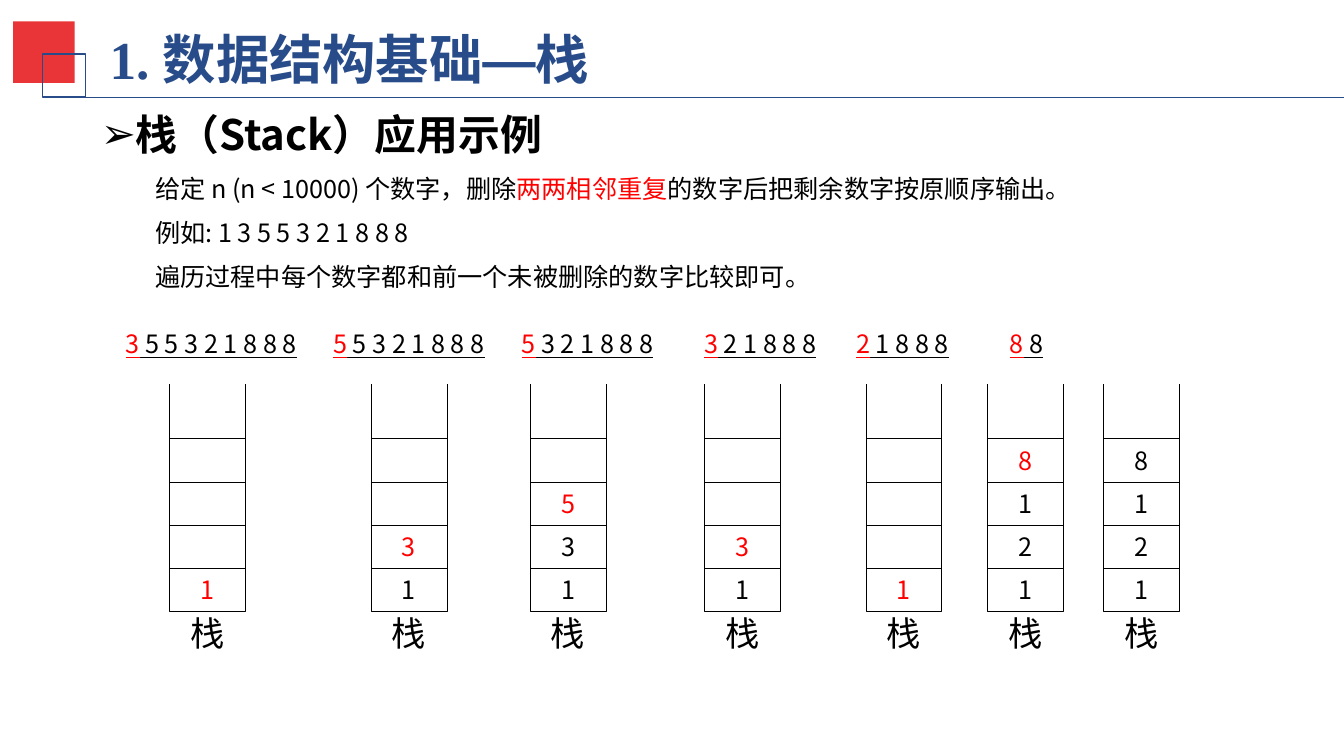
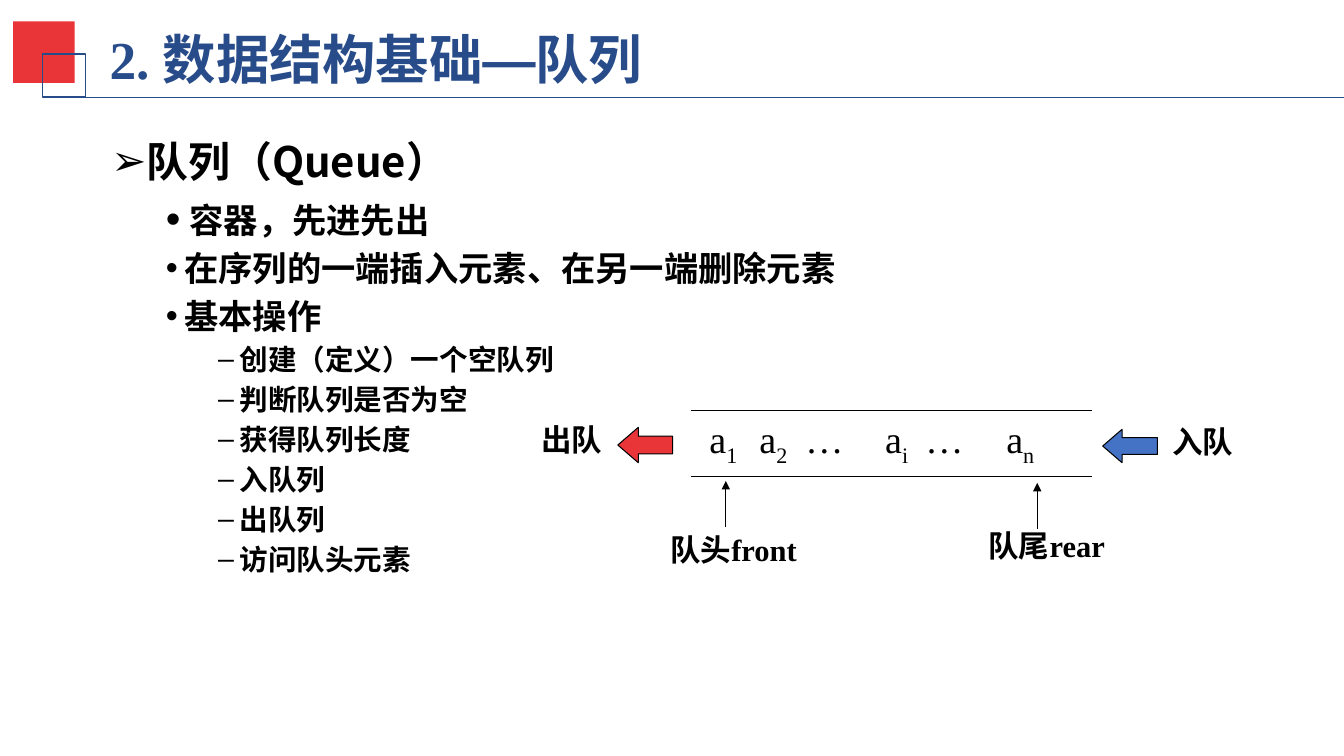
from lxml import etree
from pptx import Presentation
from pptx import util as u
from pptx.dml.color import RGBColor
from pptx.enum import shapes, text
from pptx.oxml import ns

COLOURS = {"navy": "284C8A", "red": "E93538", "blue": "4472C4",
           "black": "000000", "mark": "FF0000"}
SANS, SERIF, TITLE_FONT = "Noto Sans CJK SC", "Times New Roman", "Arial"
TITLE, HEADING, ITEM, LABEL, SUBITEM, BODY = 38.1, 29.9, 24.5, 21.8, 20.4, 18


def colour(name):
    return RGBColor.from_string(COLOURS[name])


def child(parent, tag, **attributes):
    element = etree.SubElement(parent, ns.qn(tag))
    for key, value in attributes.items():
        element.set(key, str(value))
    return element


class Board:
    """Holds the deck, its style and the slide being filled; lengths are in cm."""

    def __init__(self):
        self.deck = Presentation()
        self.deck.slide_width, self.deck.slide_height = u.Cm(33.87), u.Cm(19.05)
        self.slide = None

    def new_slide(self, number, topic):
        self.slide = self.deck.slides.add_slide(self.deck.slide_layouts[5])
        title = self.slide.shapes.title
        title.left, title.top = u.Cm(2.51), u.Cm(0.53)
        title.width, title.height = u.Cm(23.88), u.Cm(1.88)
        frame = title.text_frame
        frame.auto_size = text.MSO_AUTO_SIZE.NONE
        frame.vertical_anchor = text.MSO_ANCHOR.TOP
        para = frame.paragraphs[0]
        para.alignment = text.PP_ALIGN.LEFT
        self.span(para, number + " ", TITLE, "navy", SERIF, bold=True)
        self.span(para, topic, TITLE, "navy", TITLE_FONT, bold=True)
        self.shape(0.33, 0.54, 1.55, 1.55, fill="red")
        self.shape(1.07, 1.36, 1.09, 1.09, line="navy", weight=1)
        self.line(1.32, 2.45, 33.87, 2.45, "navy", 0.5)

    def span(self, para, words, size, tint="black", font=SANS, bold=False,
             underline=None, baseline=None):
        run = para.add_run()
        run.text = words
        run.font.size, run.font.name = u.Pt(size), font
        run.font.bold, run.font.underline = bold, underline
        run.font.color.rgb = colour(tint)
        properties = run.font._element
        child(properties, "a:ea", typeface=TITLE_FONT if font == TITLE_FONT else SANS)
        if baseline:
            properties.set("baseline", str(baseline))
        return run

    def text_box(self, left, top, width, height, margins=(0.25, 0.13)):
        box = self.slide.shapes.add_textbox(*map(u.Cm, (left, top, width, height)))
        frame = box.text_frame
        frame.word_wrap = True
        frame.margin_left = frame.margin_right = u.Cm(margins[0])
        frame.margin_top = frame.margin_bottom = u.Cm(margins[1])
        return frame

    def label(self, left, top, width, words, size=LABEL, font=SERIF, bold=True,
              align=text.PP_ALIGN.LEFT):
        para = self.text_box(left, top, width, 1.3).paragraphs[0]
        para.alignment = align
        self.span(para, words, size, font=font, bold=bold)

    def paragraph(self, frame, indent, bullet=None, hanging=0, bullet_size=100,
                  before=0, spacing=None):
        first = frame.paragraphs[0]
        para = frame.add_paragraph() if first.runs else first
        properties = para._p.get_or_add_pPr()
        properties.set("marL", str(u.Cm(indent)))
        properties.set("indent", str(-u.Cm(hanging)))
        if bullet:
            child(properties, "a:buSzPct", val=bullet_size * 1000)
            child(properties, "a:buFont", typeface="Arial")
            child(properties, "a:buChar", char=bullet)
        if before:
            para.space_before = u.Pt(before)
        if spacing:
            para.line_spacing = spacing
        return para

    def heading(self, frame, words):
        para = self.paragraph(frame, 0.84, "➢", 0.84)
        self.span(para, words, HEADING, bold=True)

    def shape(self, left, top, width, height, kind=shapes.MSO_SHAPE.RECTANGLE,
              fill=None, line=None, weight=0.75):
        shape = self.slide.shapes.add_shape(kind, *map(u.Cm, (left, top, width, height)))
        shape.shadow.inherit = False
        if fill:
            shape.fill.solid()
            shape.fill.fore_color.rgb = colour(fill)
        else:
            shape.fill.background()
        if line:
            shape.line.color.rgb = colour(line)
            shape.line.width = u.Pt(weight)
        else:
            shape.line.fill.background()
        return shape

    def line(self, x1, y1, x2, y2, tint="black", weight=0.75, arrow=False):
        line = self.slide.shapes.add_connector(
            shapes.MSO_CONNECTOR.STRAIGHT, *map(u.Cm, (x1, y1, x2, y2)))
        line.line.color.rgb = colour(tint)
        line.line.width = u.Pt(weight)
        if arrow:
            child(line.line._get_or_add_ln(), "a:tailEnd", type="triangle")
        child(line._element.spPr, "a:effectLst")

    def block_arrow(self, left, top, height, fill):
        arrow = self.shape(left, top, 1.38, height, shapes.MSO_SHAPE.LEFT_ARROW,
                           fill, "black")
        arrow.adjustments[0], arrow.adjustments[1] = 0.5, 0.58

    def stack(self, left, values, fresh):
        """Draw an open stack, values from the bottom up; a fresh top is marked."""
        top, width, height, cells = 11.05, 1.91, 1.09, 4
        for level in range(cells):
            cell = self.shape(left, top + (cells - 1 - level) * height, width, height,
                              line="black", weight=0.25)
            if level < len(values):
                frame = cell.text_frame
                frame.margin_top = frame.margin_bottom = 0
                frame.vertical_anchor = text.MSO_ANCHOR.MIDDLE
                para = frame.paragraphs[0]
                para.alignment = text.PP_ALIGN.CENTER
                marked = fresh and level == len(values) - 1
                self.span(para, values[level], BODY, "mark" if marked else "black")
        for side in (left, left + width):
            self.line(side, 9.68, side, top, weight=0.25)
        self.label(left - 0.11, 15.29, 2.13, "栈", ITEM, SANS, False,
                   text.PP_ALIGN.CENTER)

    def pending(self, left, digits):
        """Write the digits still to be read, the next one marked."""
        para = self.text_box(left, 8.15, 5.05, 1.02).paragraphs[0]
        self.span(para, digits[0], BODY, "mark", underline=True)
        self.span(para, " " + " ".join(digits[1:]), BODY, underline=True)


def stack_slide(board):
    board.new_slide("1.", "数据结构基础—栈")
    frame = board.text_box(2.24, 2.59, 29.67, 5.44, (0.3, 0.15))
    board.heading(frame, "栈（Stack）应用示例")
    sentences = [
        [("给定 n (n < 10000) 个数字，删除", "black"), ("两两相邻重复", "mark"),
         ("的数字后把剩余数字按原顺序输出。", "black")],
        [("例如: 1 3 5 5 3 2 1 8 8 8", "black")],
        [("遍历过程中每个数字都和前一个未被删除的数字比较即可。", "black")],
    ]
    for sentence in sentences:
        para = board.paragraph(frame, 1.37, before=3.6, spacing=1.3)
        for words, tint in sentence:
            board.span(para, words, BODY, tint)

    steps = [
        (4.27, "1", 2.92, "355321888"),
        (9.35, "13", 8.15, "55321888"),
        (13.36, "135", 12.9, "5321888"),
        (17.75, "13", 17.5, "321888"),
        (21.82, "1", 21.33, "21888"),
        (24.89, "1218", 25.2, "88"),
        (27.81, "1218", None, ""),
    ]
    for left, values, digits_left, digits in steps:
        board.stack(left, values, fresh=bool(digits))
        if digits:
            board.pending(digits_left, digits)


def queue_slide(board):
    board.new_slide("2.", "数据结构基础—队列")
    frame = board.text_box(2.51, 3.28, 29.67, 13.82, (0.3, 0.15))
    board.heading(frame, "队列（Queue）")
    items = [("容器，先进先出", 1.97, 122, 9),
             ("在序列的一端插入元素、在另一端删除元素", 1.84, 100, 4.9),
             ("基本操作", 1.84, 100, 4.9)]
    for words, indent, bullet_size, before in items:
        para = board.paragraph(frame, indent, "•", indent - 1.37, bullet_size, before)
        board.span(para, words, ITEM, bold=True)
    for words in ("创建（定义）一个空队列", "判断队列是否为空", "获得队列长度",
                  "入队列", "出队列", "访问队头元素"):
        para = board.paragraph(frame, 3.23, "–", 0.54, before=4.1)
        board.span(para, words, SUBITEM, bold=True)

    para = board.text_box(17.63, 10.34, 9.47, 1.9).paragraphs[0]
    tabs = child(para._p.get_or_add_pPr(), "a:tabLst")
    for stop in (1.26, 2.42, 4.43, 5.44, 7.48):
        child(tabs, "a:tab", pos=u.Cm(stop), algn="l")
    parts = [("a", "1"), ("\ta", "2"), ("\t…", ""), ("\ta", "i"), ("\t…", ""), ("\ta", "n")]
    for words, index in parts:
        board.span(para, words, 27.2, font=SERIF)
        if index:
            board.span(para, index, 27.2, font=SERIF, baseline=-25000)
    for height in (10.34, 12.01):
        board.line(17.42, height, 27.53, height)

    for x, top, left, label_top, words in ((18.29, 12.12, 16.64, 13.26, "队头front"),
                                           (26.14, 12.17, 24.66, 13.16, "队尾rear")):
        board.line(x, top + 1.16, x, top, arrow=True)
        board.label(left, label_top, 4.9, words)
    board.block_arrow(15.57, 10.77, 0.89, "red")
    board.label(13.39, 10.49, 2.69, "出队")
    board.block_arrow(27.79, 10.82, 0.84, "blue")
    board.label(29.29, 10.54, 2.36, "入队")


def main():
    board = Board()
    stack_slide(board)
    queue_slide(board)
    board.deck.save("out.pptx")


if __name__ == "__main__":
    main()
